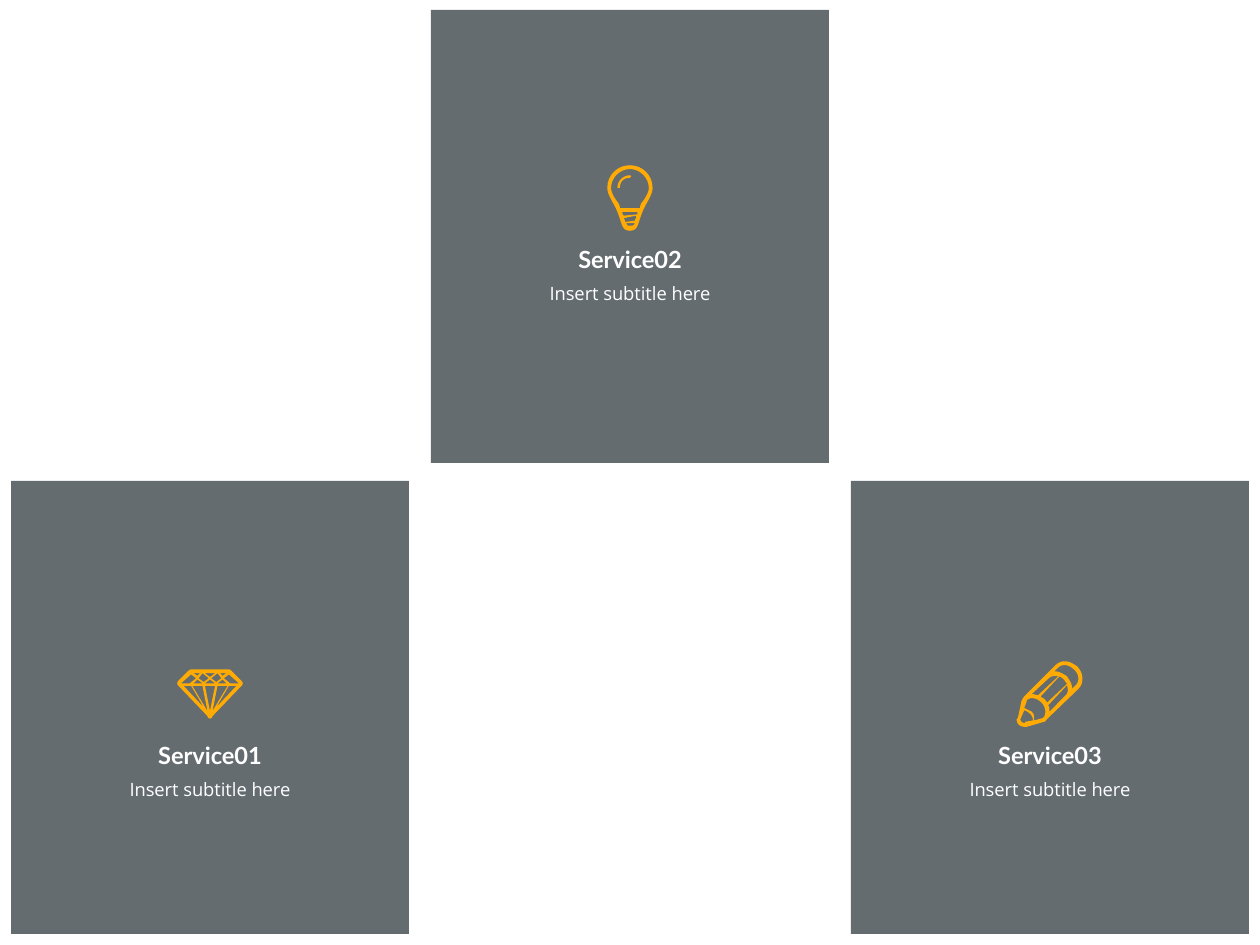
from dataclasses import dataclass
from lxml import etree
from pptx import Presentation, util as u
from pptx.dml.color import RGBColor
from pptx.enum import shapes, text
from pptx.oxml.ns import qn


@dataclass(frozen=True)
class Theme:
    tile: str = "313C41"
    tile_alpha: int = 75
    icon: str = "FFAB03"
    ink: str = "FFFFFF"
    title_font: str = "Lato"
    title_size: float = 13.5
    subtitle_font: str = "Open Sans"
    subtitle_size: float = 10.5


THEME = Theme()
PIXEL = 914400 / 126
ICON_UNIT = 9144
ICON_FINENESS = 100
CURVE_STEPS = 8

SLIDE = (1260, 945)
TILE = (398, 453)
COLUMN_STEP = 420
ROW_TOPS = (10, 481)
ICON_CENTRES = (198, 694)
TITLE = (131, 42, 41)
SUBTITLE = (258, 47, 67)


def mirrored(width, contours):
    return contours + [[(width - x, y) for x, y in contour] for contour in contours]


# Pairs are straight segments and sextets are cubic curves, in hundredths of an inch.
DIAMOND = [[
    [(51, 9), (43, 1), (42, 0, 41, 0, 41, 0), (11, 0), (11, 0, 10, 0, 9, 1), (1, 9),
     (1, 9, 0, 10, 0, 11), (0, 12, 1, 13, 1, 13), (24, 37), (24, 38, 25, 39, 26, 39),
     (27, 39, 28, 38, 28, 37), (51, 13), (51, 13, 52, 12, 52, 11), (52, 10, 51, 9, 51, 9)],
    [(30, 11), (22, 11), (26, 8)],
    [(30, 13), (26, 33), (22, 13)],
    [(26, 6), (22, 3), (30, 3)],
] + mirrored(52, [
    [(21, 10), (17, 7), (20, 3), (25, 7)],
    [(16, 5), (13, 3), (18, 3)],
    [(16, 8), (20, 11), (13, 11)],
    [(20, 13), (24, 33), (12, 13)],
    [(21, 30), (5, 13), (11, 13)],
    [(11, 4), (15, 7), (10, 11), (3, 11)],
])]

BULB = [[
    [(18, 0), (8, 0, 0, 8, 0, 18), (0, 24, 6, 31, 8, 37), (12, 46, 11, 52, 18, 52),
     (25, 52, 24, 46, 28, 37), (30, 31, 36, 24, 36, 18), (36, 8, 28, 0, 18, 0)],
    [(22, 44), (14, 45), (14, 44, 14, 43, 13, 42), (23, 40), (23, 41, 23, 42, 23, 42),
     (22, 43, 22, 43, 22, 44)],
    [(13, 40), (12, 39, 12, 38, 12, 37), (24, 37), (24, 38, 24, 38, 24, 39)],
    [(18, 48), (16, 48, 16, 48, 15, 46), (22, 46), (21, 48, 20, 48, 18, 48)],
    [(26, 34), (10, 34), (10, 32, 9, 30, 8, 29), (5, 25, 3, 21, 3, 18), (3, 10, 10, 3, 18, 3),
     (26, 3, 33, 10, 33, 18), (33, 21, 31, 25, 28, 29), (27, 30, 26, 32, 26, 34)],
], [
    [(18, 8), (13, 8, 8, 12, 8, 18), (8, 18, 9, 18, 9, 18), (9, 18, 10, 18, 10, 18),
     (10, 13, 13, 10, 18, 10), (18, 10, 19, 9, 19, 9), (19, 8, 18, 8, 18, 8)],
]]

PENCIL = [[
    [(48, 4), (45, 2, 42, 0, 38, 0), (36, 0, 33, 1, 31, 3), (23, 11), (6, 28),
     (5, 29, 5, 30, 4, 31), (1, 45), (1, 45, 0, 46, 0, 46), (0, 50, 3, 52, 6, 52),
     (7, 52, 8, 52, 8, 52), (22, 48), (23, 48, 23, 47, 24, 46), (49, 22), (54, 17, 53, 9, 48, 4)],
    [(26, 39), (26, 37, 26, 36, 25, 35), (40, 19), (41, 22, 41, 25, 39, 27), (26, 40)],
    [(24, 33), (24, 32, 23, 31, 22, 30), (21, 29, 20, 29, 19, 28), (34, 12),
     (36, 13, 37, 14, 38, 15), (38, 16, 39, 16, 40, 18)],
    [(17, 27), (16, 27, 14, 26, 12, 26), (25, 14), (27, 12, 30, 11, 33, 12)],
    [(7, 48), (7, 49, 6, 49, 6, 49), (5, 49, 3, 48, 3, 46), (6, 39), (7, 39, 9, 40, 11, 42),
     (12, 43, 13, 45, 13, 47)],
    [(14, 47), (14, 44, 14, 42, 12, 40), (10, 39, 8, 38, 6, 37), (8, 32), (8, 31),
     (11, 28, 16, 29, 20, 33), (23, 36, 24, 42, 21, 45)],
    [(47, 19), (44, 22), (44, 21), (44, 18, 42, 15, 40, 12), (37, 10, 34, 8, 30, 8), (33, 5),
     (34, 4, 36, 3, 38, 3), (41, 3, 44, 5, 46, 7), (48, 9, 49, 11, 49, 14),
     (49, 16, 48, 18, 47, 19)],
]]

SERVICES = [
    ("Service01", "Insert subtitle here", 1, DIAMOND, (52, 39)),
    ("Service02", "Insert subtitle here", 0, BULB, (36, 52)),
    ("Service03", "Insert subtitle here", 1, PENCIL, (53, 52)),
]


def px(value):
    return u.Emu(round(value * PIXEL))


def paint(shape, colour):
    shape.shadow.inherit = False
    shape.fill.solid()
    shape.fill.fore_color.rgb = RGBColor.from_string(colour)
    shape.line.fill.background()


def add_tile(slide, centre, top):
    width, height = TILE
    tile = slide.shapes.add_shape(shapes.MSO_SHAPE.RECTANGLE, px(centre - width / 2), px(top),
                                  px(width), px(height))
    paint(tile, THEME.tile)
    colour = next(tile.fill._xPr.iter(qn("a:srgbClr")))
    etree.SubElement(colour, qn("a:alpha"), val=str(THEME.tile_alpha * 1000))


def add_label(slide, centre, anchor, box, words, font, size, bold=False, wrap=True, spacing=None):
    width, height, drop = box
    label = slide.shapes.add_textbox(px(centre - width / 2), px(anchor + drop),
                                     px(width), px(height))
    frame = label.text_frame
    frame.word_wrap = wrap
    frame.auto_size = text.MSO_AUTO_SIZE.SHAPE_TO_FIT_TEXT
    paragraph = frame.paragraphs[0]
    paragraph.text = words
    paragraph.alignment = text.PP_ALIGN.CENTER
    paragraph.line_spacing = spacing
    paragraph.font.name = font
    paragraph.font.size = u.Pt(size)
    paragraph.font.bold = bold
    paragraph.font.color.rgb = RGBColor.from_string(THEME.ink)


def flatten(contour):
    points = [contour[0]]
    for segment in contour[1:]:
        if len(segment) == 2:
            points.append(segment)
            continue
        controls = (points[-1], segment[:2], segment[2:4], segment[4:])
        for step in range(1, CURVE_STEPS + 1):
            t = step / CURVE_STEPS
            weights = ((1 - t) ** 3, 3 * t * (1 - t) ** 2, 3 * t * t * (1 - t), t ** 3)
            points.append(tuple(sum(w * c[axis] for w, c in zip(weights, controls))
                                for axis in (0, 1)))
    return [(round(x * ICON_FINENESS), round(y * ICON_FINENESS)) for x, y in points]


def add_icon(slide, centre, middle, parts, size):
    left, top = (round(position * PIXEL - extent * ICON_UNIT / 2)
                 for position, extent in zip((centre, middle), size))
    target = slide.shapes.add_group_shape().shapes if len(parts) > 1 else slide.shapes
    for contours in parts:
        outlines = [flatten(contour) for contour in contours]
        builder = target.build_freeform(*outlines[0][0], scale=ICON_UNIT / ICON_FINENESS)
        for index, outline in enumerate(outlines):
            if index:
                builder.move_to(*outline[0])
            builder.add_line_segments(outline[1:], close=True)
        paint(builder.convert_to_shape(left, top), THEME.icon)


presentation = Presentation()
presentation.slide_width, presentation.slide_height = map(px, SLIDE)
slide = presentation.slides.add_slide(presentation.slide_layouts[6])

for column, (title, subtitle, row, icon, icon_size) in enumerate(SERVICES):
    centre = SLIDE[0] / 2 + (column - 1) * COLUMN_STEP
    anchor = ICON_CENTRES[row]
    add_tile(slide, centre, ROW_TOPS[row])
    add_label(slide, centre, anchor, TITLE, title, THEME.title_font, THEME.title_size,
              bold=True, wrap=False)
    add_label(slide, centre, anchor, SUBTITLE, subtitle, THEME.subtitle_font,
              THEME.subtitle_size, spacing=1.5)
    add_icon(slide, centre, anchor, icon, icon_size)

presentation.save("out.pptx")
